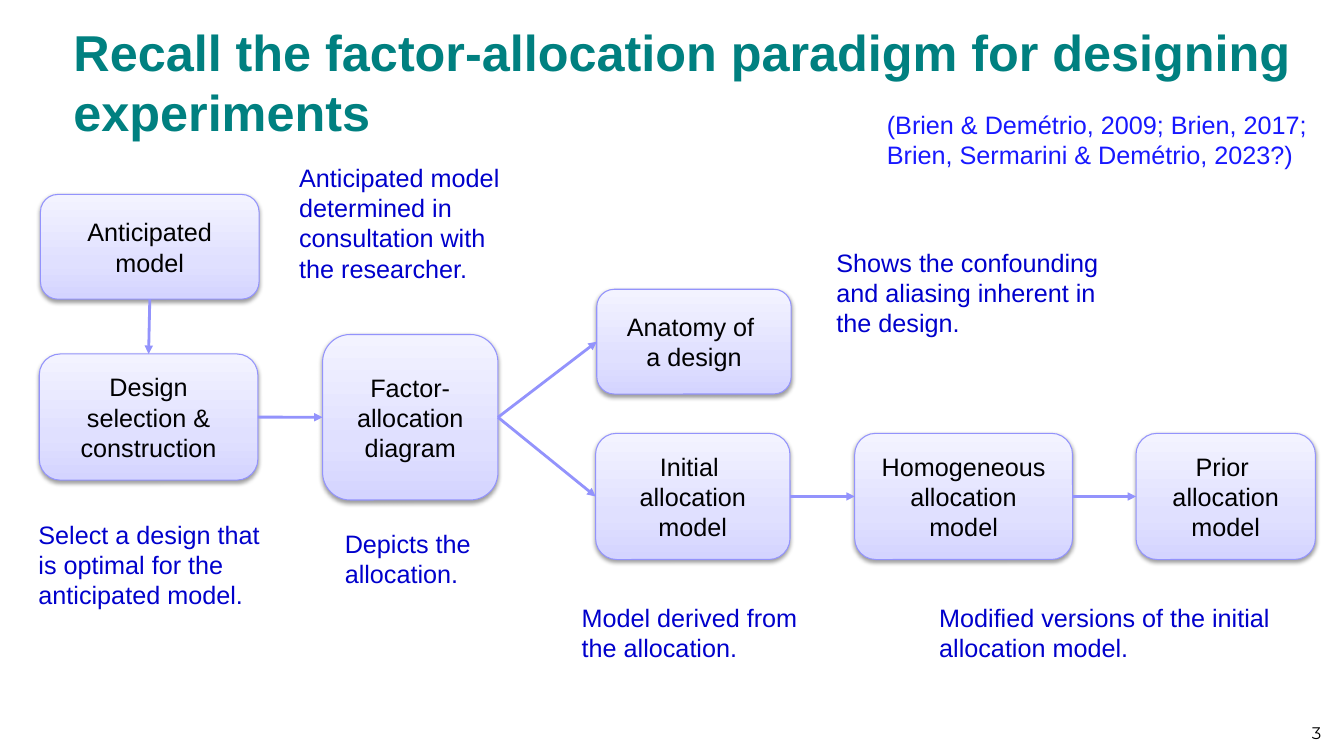
from lxml import etree
from pptx import Presentation
from pptx.dml.color import RGBColor
from pptx.enum.shapes import MSO_CONNECTOR as Connector, MSO_SHAPE as Shape
from pptx.enum.text import MSO_ANCHOR as Anchor, PP_ALIGN as Align
from pptx.oxml import parse_xml
from pptx.oxml.ns import nsdecls, qn
from pptx.util import Cm, Pt

TEAL, NOTE_BLUE, CITATION_BLUE = "008080", "0000CC", "1818FF"
BLACK, OUTLINE = "000000", "9393FC"
BOX_GRADIENT = [(0, "D4D4FF"), (35, "E0E0FF"), (100, "F3F3FF")]
TOP, LEFT, BOTTOM, RIGHT = range(4)
MODEL_TOP, MODEL_HEIGHT = 10.92, 3.18

# name: (left, top, width, height in cm, paragraphs)
STEPS = {
    "anticipated": (1.02, 4.9, 5.51, 2.64, ["Anticipated", "model"]),
    "design": (0.99, 8.92, 5.51, 3.18, ["Design selection &", "construction"]),
    "diagram": (8.13, 8.43, 4.42, 4.17, ["Factor-allocation diagram"]),
    "anatomy": (15.04, 7.29, 4.9, 2.64, ["Anatomy of ", "a design"]),
    "initial": (15.01, MODEL_TOP, 4.9, MODEL_HEIGHT,
                ["Initial ", "allocation model"]),
    "homogeneous": (21.54, MODEL_TOP, 5.49, MODEL_HEIGHT,
                    ["Homogeneous allocation", "model"]),
    "prior": (28.63, MODEL_TOP, 4.52, MODEL_HEIGHT,
              ["Prior ", "allocation model"]),
}
ARROWS = [
    ("anticipated", BOTTOM, "design", TOP),
    ("design", RIGHT, "diagram", LEFT),
    ("diagram", RIGHT, "anatomy", LEFT),
    ("diagram", RIGHT, "initial", LEFT),
    ("initial", RIGHT, "homogeneous", LEFT),
    ("homogeneous", RIGHT, "prior", LEFT),
]
NOTES = [
    (7.21, 3.91, 6.25, 3.68,
     "Anticipated model determined in consultation with the researcher."),
    (0.64, 12.9, 6.3, 3,
     "Select a design that is optimal for the anticipated model."),
    (8.36, 13.13, 3.96, 1.9, "Depicts the allocation."),
    (20.75, 6.05, 7.8, 2.82,
     "Shows the confounding and aliasing inherent in the design."),
    (14.33, 14.99, 6.4, 1.98, "Model derived from the allocation."),
    (23.34, 14.99, 9.19, 1.9,
     "Modified versions of the initial allocation model."),
]


def rgb(value):
    return RGBColor.from_string(value)


def write(shape, paragraphs, color, size=18, font="Arial", bold=False,
          align=Align.LEFT, anchor=Anchor.TOP, insets=(0.33, 0.18)):
    frame = shape.text_frame
    frame.word_wrap = True
    frame.vertical_anchor = anchor
    frame.margin_left = frame.margin_right = Cm(insets[0])
    frame.margin_top = frame.margin_bottom = Cm(insets[1])
    frame.text = "\n".join(paragraphs)
    for para in frame.paragraphs:
        para.alignment = align
        para.font.name = font
        para.font.size = Pt(size)
        para.font.bold = bold
        para.font.color.rgb = rgb(color)


def add_text(page, left, top, width, height, paragraphs, color, **style):
    box = page.shapes.add_textbox(Cm(left), Cm(top), Cm(width), Cm(height))
    write(box, paragraphs, color, **style)


def style_box(box):
    """Give the box its outline, three-stop gradient and soft shadow."""
    box.line.color.rgb = rgb(OUTLINE)
    box.line.width = Pt(0.75)
    stops = "".join(
        f'<a:gs pos="{place * 1000}"><a:srgbClr val="{color}"/></a:gs>'
        for place, color in BOX_GRADIENT)
    gradient = parse_xml(
        f'<a:gradFill {nsdecls("a")} rotWithShape="1"><a:gsLst>{stops}</a:gsLst>'
        '<a:lin ang="16200000" scaled="0"/></a:gradFill>')
    box.line._get_or_add_ln().addprevious(gradient)
    box.shadow.inherit = False
    shadow = parse_xml(
        f'<a:outerShdw {nsdecls("a")} blurRad="{Pt(3.1)}" dist="{Pt(1.6)}" '
        'dir="5400000" rotWithShape="0"><a:srgbClr val="000000">'
        '<a:alpha val="38000"/></a:srgbClr></a:outerShdw>')
    box._element.spPr.find(qn("a:effectLst")).append(shadow)


def add_step(page, left, top, width, height, paragraphs):
    box = page.shapes.add_shape(Shape.ROUNDED_RECTANGLE, Cm(left), Cm(top),
                                Cm(width), Cm(height))
    style_box(box)
    write(box, paragraphs, BLACK, align=Align.CENTER, anchor=Anchor.MIDDLE)
    return box


def add_arrow(page, start, start_side, end, end_side):
    arrow = page.shapes.add_connector(Connector.STRAIGHT, 0, 0, 0, 0)
    arrow.begin_connect(start, start_side)
    arrow.end_connect(end, end_side)
    arrow.line.color.rgb = rgb(OUTLINE)
    arrow.line.width = Pt(2)
    etree.SubElement(arrow.line._get_or_add_ln(), qn("a:tailEnd"),
                     type="triangle")
    etree.SubElement(arrow._element.spPr, qn("a:effectLst"))


def main():
    deck = Presentation()
    deck.slide_width, deck.slide_height = Cm(33.87), Cm(19.05)
    page = deck.slides.add_slide(deck.slide_layouts[6])

    add_text(page, 1.6, 0.51, 32, 3.07,
             ["Recall the factor-allocation paradigm for designing experiments"],
             TEAL, size=36, bold=True, anchor=Anchor.MIDDLE,
             insets=(0.25, 0.13))
    add_text(page, 25.65, 17.58, 7.9, 1.27, ["3"], BLACK, size=12,
             font="Montserrat", align=Align.RIGHT, anchor=Anchor.BOTTOM,
             insets=(0.25, 0.13))

    boxes = {name: add_step(page, *step) for name, step in STEPS.items()}
    for start, start_side, end, end_side in ARROWS:
        add_arrow(page, boxes[start], start_side, boxes[end], end_side)

    for left, top, width, height, note in NOTES:
        add_text(page, left, top, width, height, [note], NOTE_BLUE)
    add_text(page, 22.02, 2.57, 11.4, 2.01,
             ["(Brien & Demétrio, 2009; Brien, 2017;",
              "Brien, Sermarini & Demétrio, 2023?)"], CITATION_BLUE)

    deck.save("out.pptx")


if __name__ == "__main__":
    main()
